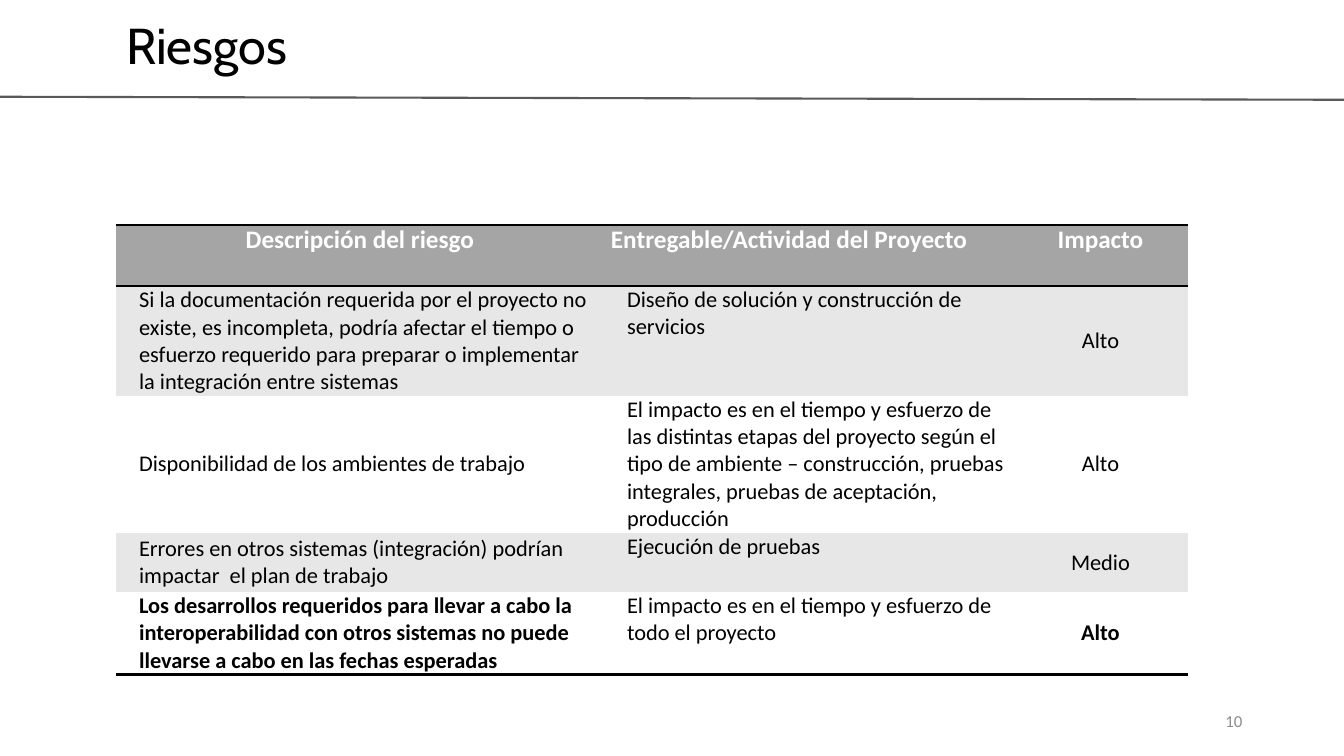
"""Build the project risk slide with its impact table."""
from pptx import Presentation
from pptx.dml.color import RGBColor
from pptx.enum import shapes, text
from pptx.oxml import parse_xml
from pptx.oxml import ns
from pptx.util import Inches, Pt

COLORS = {"black": "000000", "white": "FFFFFF", "header": "A5A5A5",
          "band": "E7E7E7", "rule": "595959", "number": "8C8C8C"}
TITLE = "Riesgos"
PAGE_NUMBER = "10"
HEADERS = ["Descripción del riesgo", "Entregable/Actividad del Proyecto", "Impacto"]
RISKS = [
    ("Si la documentación requerida por el proyecto no existe, es incompleta, podría afectar "
     "el tiempo o esfuerzo requerido para preparar o implementar la integración entre sistemas",
     "Diseño de solución y construcción de servicios", "Alto"),
    ("Disponibilidad de los ambientes de trabajo",
     "El impacto es en el tiempo y esfuerzo de las distintas etapas del proyecto según el tipo "
     "de ambiente – construcción, pruebas integrales, pruebas de aceptación, producción", "Alto"),
    ("Errores en otros sistemas (integración) podrían impactar  el plan de trabajo",
     "Ejecución de pruebas", "Medio"),
    ("Los desarrollos requeridos para llevar a cabo la interoperabilidad con otros sistemas "
     "no puede llevarse a cabo en las fechas esperadas",
     "El impacto es en el tiempo y esfuerzo de todo el proyecto", "Alto"),
]
COLUMN_WIDTHS = [4.84, 4.06, 1.73]
ROW_HEIGHTS = [0.61, 0.98, 0.98, 0.59, 0.78]
LEFT = 1.15
NO_STYLE = "{2D5ABB26-0587-4C30-8999-92F81FD0307C}"
ALIGN, ANCHOR = text.PP_ALIGN, text.MSO_ANCHOR


def color(name):
    return RGBColor.from_string(COLORS[name])


def write(frame, content, size, color_name, align, bold=False, font="Calibri"):
    frame.text = content
    paragraph = frame.paragraphs[0]
    paragraph.alignment = align
    run_font = paragraph.runs[0].font
    run_font.name, run_font.size, run_font.bold = font, Pt(size), bold
    run_font.color.rgb = color(color_name)
    return paragraph


def add_borders(cell, sides):
    properties = cell._tc.get_or_add_tcPr()
    for index, side in enumerate(sides):
        properties.insert(index, parse_xml(
            f'<a:ln{side} {ns.nsdecls("a")} w="{Pt(2)}"><a:solidFill>'
            f'<a:srgbClr val="{COLORS["black"]}"/></a:solidFill></a:ln{side}>'))


def fill_cell(cell, content, row, column):
    is_header, is_last = row == 0, row == len(RISKS)
    cell.margin_left = cell.margin_right = Inches(0.07)
    cell.margin_top = cell.margin_bottom = 0
    cell.fill.solid()
    cell.fill.fore_color.rgb = color("header" if is_header else "band" if row % 2 else "white")
    cell.vertical_anchor = ANCHOR.TOP if is_header or column == 1 else ANCHOR.MIDDLE
    centered = column == 2 or (is_header and column == 0)
    paragraph = write(cell.text_frame, content, 18 if is_header else 16,
                      "white" if is_header else "black",
                      ALIGN.CENTER if centered else ALIGN.LEFT,
                      bold=is_header or (is_last and column != 1))
    if not is_header:
        paragraph.space_before = paragraph.space_after = Pt(2)
        if column < 2:
            paragraph._p.get_or_add_pPr().set("marL", str(Inches(0.16)))
    add_borders(cell, "TB" if is_header else "B" if is_last else "")


presentation = Presentation()
presentation.slide_width, presentation.slide_height = Inches(13.33), Inches(7.5)
slide = presentation.slides.add_slide(presentation.slide_layouts[5])

title = slide.shapes.title
title.left, title.top, title.width, title.height = map(Inches, (LEFT, 0, 11.26, 0.96))
title.text_frame.auto_size = text.MSO_AUTO_SIZE.NONE
title.text_frame.vertical_anchor = ANCHOR.MIDDLE
write(title.text_frame, TITLE, 36, "black", ALIGN.LEFT, font="Cabin").line_spacing = 0.9

table = slide.shapes.add_table(
    len(ROW_HEIGHTS), len(COLUMN_WIDTHS), Inches(LEFT), Inches(2.23),
    Inches(sum(COLUMN_WIDTHS)), Inches(sum(ROW_HEIGHTS))).table
table._tbl.tblPr.find(ns.qn("a:tableStyleId")).text = NO_STYLE
for table_column, width in zip(table.columns, COLUMN_WIDTHS):
    table_column.width = Inches(width)
for table_row, height in zip(table.rows, ROW_HEIGHTS):
    table_row.height = Inches(height)
for row, contents in enumerate([HEADERS, *RISKS]):
    for column, content in enumerate(contents):
        fill_cell(table.cell(row, column), content, row, column)

number = slide.shapes.add_textbox(*map(Inches, (9.42, 6.95, 3, 0.4))).text_frame
number.word_wrap = True
number.vertical_anchor = ANCHOR.MIDDLE
write(number, PAGE_NUMBER, 12, "number", ALIGN.RIGHT)

rule = slide.shapes.add_connector(
    shapes.MSO_CONNECTOR.STRAIGHT, *map(Inches, (0, 0.96, 13.33, 0.99)))
rule.line.color.rgb = color("rule")
rule.line.width = Pt(1.5)
rule._element.spPr.append(parse_xml(f'<a:effectLst {ns.nsdecls("a")}/>'))

presentation.save("out.pptx")
